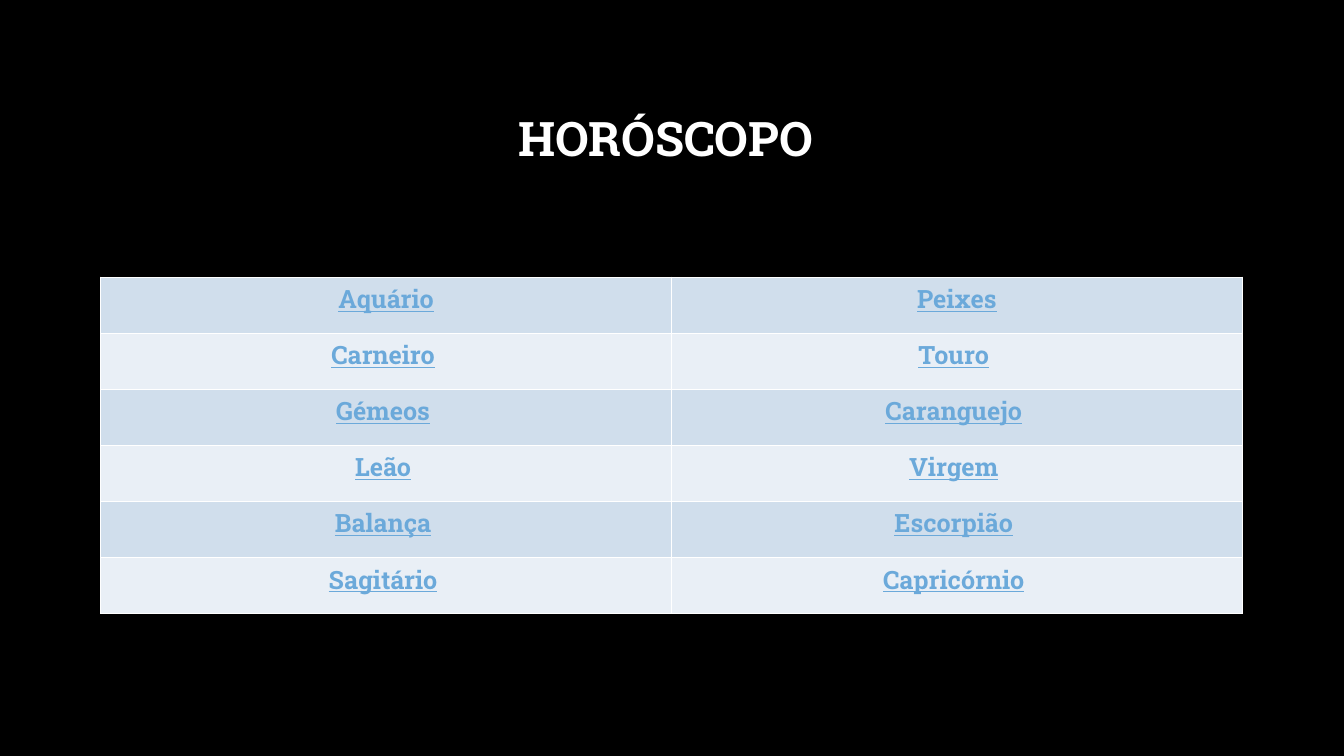
from lxml import etree
from pptx import Presentation
from pptx.dml.color import RGBColor
from pptx.enum.text import MSO_ANCHOR, PP_ALIGN
from pptx.oxml.ns import qn
from pptx.util import Inches, Pt

CENTER = PP_ALIGN.CENTER
MIDDLE = MSO_ANCHOR.MIDDLE
TITLE_ONLY = 5
FONT = "Roboto Slab"
BLACK, WHITE, SIGN_BLUE = "000000", "FFFFFF", "6BA9DA"
BANDS = ("D0DEEC", "E9EFF6")
SIGNS = [
    ("Aquário", "Peixes"),
    ("Carneiro ", "Touro "),
    ("Gémeos ", "Caranguejo "),
    ("Leão ", "Virgem "),
    ("Balança ", "Escorpião "),
    ("Sagitário ", "Capricórnio "),
]


def color(value):
    """Turn a hex string into a colour."""
    return RGBColor.from_string(value)


def add_run(paragraph, text, size, hex_color, underline=False):
    """Add one bold run to a paragraph."""
    run = paragraph.add_run()
    run.text = text
    run.font.name = FONT
    run.font.size = Pt(size)
    run.font.bold = True
    run.font.underline = underline
    run.font.color.rgb = color(hex_color)


def set_borders(cell, hex_color, width):
    """Draw a line on all four sides of a cell."""
    properties = cell._tc.get_or_add_tcPr()
    for side in ("a:lnL", "a:lnR", "a:lnT", "a:lnB"):
        line = etree.SubElement(properties, qn(side), w=str(Pt(width)))
        fill = etree.SubElement(line, qn("a:solidFill"))
        etree.SubElement(fill, qn("a:srgbClr"), val=hex_color)


def place_title(slide, left, top, width, height):
    """Place the heading in its box."""
    title = slide.shapes.title
    title.left, title.top = Inches(left), Inches(top)
    title.width, title.height = Inches(width), Inches(height)
    frame = title.text_frame
    frame.word_wrap = True
    frame.vertical_anchor = MIDDLE
    paragraph = frame.paragraphs[0]
    paragraph.alignment = CENTER
    paragraph.line_spacing = 0.9
    add_run(paragraph, "HORÓSCOPO ", 34, WHITE)


def fill_cell(cell, text, band):
    """Write a sign into a cell, underlining only its name."""
    set_borders(cell, WHITE, 1)
    cell.fill.solid()
    cell.fill.fore_color.rgb = color(band)
    paragraph = cell.text_frame.paragraphs[0]
    paragraph.alignment = CENTER
    name = text.rstrip()
    add_run(paragraph, name, 18, SIGN_BLUE, underline=True)
    if text != name:
        add_run(paragraph, " ", 18, BLACK)


def add_sign_table(slide, left, top, width, height):
    """Add the banded table of signs in the given box."""
    table = slide.shapes.add_table(
        len(SIGNS), len(SIGNS[0]),
        Inches(left), Inches(top), Inches(width), Inches(height),
    ).table
    table.first_row = False
    for row_index, signs in enumerate(SIGNS):
        for column_index, sign in enumerate(signs):
            band = BANDS[row_index % len(BANDS)]
            fill_cell(table.cell(row_index, column_index), sign, band)


def main():
    """Build and save the presentation."""
    presentation = Presentation()
    presentation.slide_width = Inches(13.33)
    presentation.slide_height = Inches(7.5)
    slide = presentation.slides.add_slide(presentation.slide_layouts[TITLE_ONLY])
    slide.background.fill.solid()
    slide.background.fill.fore_color.rgb = color(BLACK)
    place_title(slide, 1, 0.67, 11.32, 1.45)
    add_sign_table(slide, 1, 2.75, 11.32, 3.34)
    presentation.save("out.pptx")


if __name__ == "__main__":
    main()
